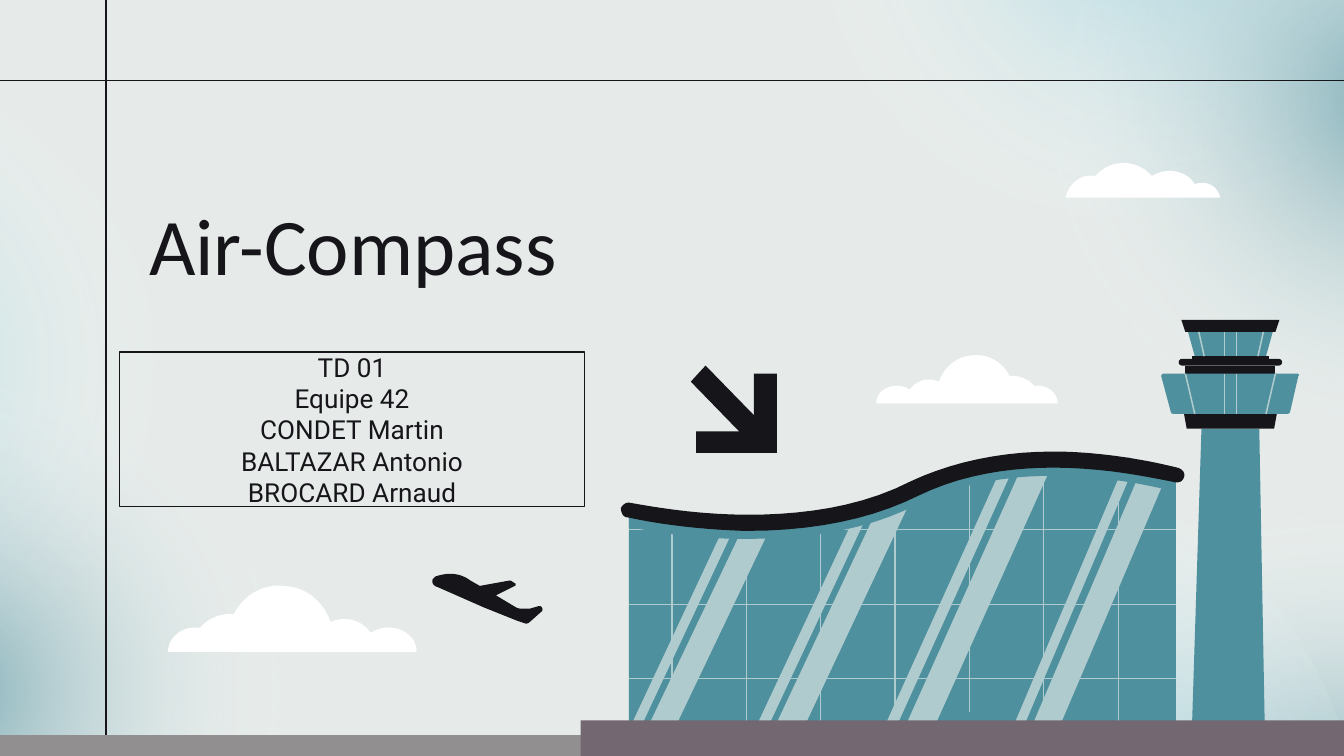
from lxml import etree
from pptx import Presentation
from pptx.dml.color import RGBColor
from pptx.enum.shapes import MSO_CONNECTOR, MSO_SHAPE
from pptx.enum.text import MSO_ANCHOR, PP_ALIGN
from pptx.oxml import parse_xml
from pptx.oxml.ns import nsdecls, qn
from pptx.util import Inches, Pt

STRAIGHT = MSO_CONNECTOR.STRAIGHT
RECT, ELLIPSE, ROUNDED = MSO_SHAPE.RECTANGLE, MSO_SHAPE.OVAL, MSO_SHAPE.ROUNDED_RECTANGLE
MIDDLE, LEFT, CENTER = MSO_ANCHOR.MIDDLE, PP_ALIGN.LEFT, PP_ALIGN.CENTER

COLORS = {"background": "E6EBE9", "ink": "161519", "teal": "4E909E", "sky": "80C8D8",
          "glass": "B0CBCE", "white": "FFFFFF", "pavement": "918F8F", "ground": "736871"}

# Outlines in inches from their top left corner: pairs are corners, sixes are Bezier curves
CLOUD = [(1.64, .33), (1.6, .33, 1.55, .34, 1.51, .37), (1.44, .27, 1.31, .24, 1.21, .29),
         (1.16, .14, 1.03, .03, .87, .02), (.71, 0, .56, .09, .49, .23),
         (.48, .23, .47, .23, .46, .23), (.37, .23, .29, .27, .24, .33),
         (.23, .33, .22, .33, .2, .33), (.09, .33, 0, .41, 0, .51), (1.85, .51),
         (1.85, .41, 1.76, .33, 1.64, .33)]
LOW_CLOUD = [(1.15, .29), (0, .29), (.02, .18, .12, .11, .22, .13), (.33, 0, .53, 0, .64, .13),
             (.75, .06, .9, .09, .96, .19), (1.04, .16, 1.13, .2, 1.15, .29)]
ARROW = [(.11, 0), (0, .12), (.36, .49), (.04, .49), (.04, .65), (.64, .65), (.64, .06),
         (.47, .06), (.47, .37)]
PLANE = [(.14, 0), (.2, 0, .25, .02, .29, .05), (.36, .09), (.58, .05), (.59, .05), (.62, .07),
         (.63, .07, .63, .09, .62, .09), (.48, .16), (.63, .25), (.65, .26, .67, .26, .69, .26),
         (.7, .26, .71, .26, .73, .26), (.8, .24), (.81, .24), (.83, .25, .83, .27, .82, .28),
         (.73, .36), (.72, .37, .71, .37, .7, .37), (.64, .35), (.39, .25), (.05, .1),
         (.01, .09, 0, .06, .01, .04), (.02, .03, .02, .03, .03, .02), (.06, .01, .1, 0, .14, 0)]
SHAFT = [(.3, .81), (.73, .81), (.77, 3), (.23, 3)]
CABIN = [(.09, .7), (.94, .7), (.95, .7, .96, .69, .96, .68), (1.02, .42),
         (1.03, .41, 1.02, .4, 1.01, .4), (.02, .4), (.01, .4, 0, .41, 0, .42), (.07, .68),
         (.07, .69, .08, .7, .09, .7)]
WALL = [(0, .44), (0, 2.02), (4.07, 2.02), (4.07, .18), (3.68, .08, 2.83, -.07, 2.13, .28),
        (1.3, .68, .25, .49, 0, .44)]
EAVES = [(3.22, .07), (3.56, .07, 3.87, .13, 4.07, .18), (4.07, .3),
         (3.87, .25, 3.54, .18, 3.16, .18), (2.84, .18, 2.48, .23, 2.15, .39),
         (1.81, .57, 1.38, .65, .89, .65), (.85, .65), (.56, .65, .28, .62, 0, .56), (0, .44),
         (.12, .47, .47, .54, .89, .54), (1.27, .54, 1.71, .48, 2.1, .29),
         (2.4, .14, 2.76, .07, 3.16, .07)]
ROOF = [(3.22, 0), (3.57, .01, 3.88, .07, 4.08, .12), (4.12, .13, 4.14, .16, 4.13, .19),
        (4.12, .22, 4.1, .23, 4.07, .23), (3.87, .19, 3.54, .12, 3.16, .12),
        (2.83, .12, 2.48, .17, 2.15, .33), (1.81, .5, 1.38, .59, .89, .59), (.85, .59),
        (.56, .58, .27, .55, -.01, .49), (-.04, .49, -.06, .46, -.06, .42),
        (-.05, .4, -.03, .38, 0, .38), (.12, .4, .47, .47, .89, .47),
        (1.27, .47, 1.71, .42, 2.1, .22), (2.4, .08, 2.76, 0, 3.16, 0)]


def rgb(color):
    return RGBColor.from_string(COLORS[color])


def paint(shape, color):
    shape.shadow.inherit = False
    shape.fill.solid()
    shape.fill.fore_color.rgb = rgb(color)
    shape.line.fill.background()


def flatten(steps, pieces=10):
    """Turn corners and Bezier curves into a list of points."""
    points = [steps[0]]
    for step in steps[1:]:
        if len(step) == 2:
            points.append(step)
            continue
        knots = [points[-1], step[:2], step[2:4], step[4:]]
        for i in range(1, pieces + 1):
            t = i / pieces
            weights = ((1 - t) ** 3, 3 * t * (1 - t) ** 2, 3 * t * t * (1 - t), t ** 3)
            points.append(tuple(sum(w * k[axis] for w, k in zip(weights, knots))
                                for axis in (0, 1)))
    return points


def outline(shapes, origin, steps, color, scale_x=1, scale_y=1):
    left, top = origin
    points = [(Inches(left + x * scale_x), Inches(top + y * scale_y))
              for x, y in flatten(steps)]
    builder = shapes.build_freeform(*points[0])
    builder.add_line_segments(points[1:], close=True)
    paint(builder.convert_to_shape(), color)


def block(shapes, kind, left, top, width, height, color):
    shape = shapes.add_shape(kind, *map(Inches, (left, top, width, height)))
    paint(shape, color)
    return shape


def rule(shapes, origin, start, end, color, weight):
    left, top = origin
    line = shapes.add_connector(STRAIGHT, Inches(left + start[0]), Inches(top + start[1]),
                                Inches(left + end[0]), Inches(top + end[1]))
    line.line.color.rgb = rgb(color)
    line.line.width = Pt(weight)
    etree.SubElement(line._element.spPr, qn("a:effectLst"))


def glow(shapes, left, top, rotation, color, alpha):
    ellipse = block(shapes, ELLIPSE, left, top, 5.22, 4.6, color)
    ellipse.rotation = rotation
    stops = "".join(
        f'<a:gs pos="{pos}000"><a:srgbClr val="{COLORS[name]}"><a:alpha val="{opacity}000"/>'
        '</a:srgbClr></a:gs>'
        for pos, name, opacity in ((0, color, alpha), (58, "white", 0), (100, "white", 0)))
    gradient = parse_xml(
        f'<a:gradFill {nsdecls("a")} rotWithShape="1"><a:gsLst>{stops}</a:gsLst>'
        '<a:path path="circle"><a:fillToRect l="50000" t="50000" r="50000" b="50000"/></a:path>'
        '</a:gradFill>')
    properties = ellipse._element.spPr
    properties.replace(properties.find(qn("a:solidFill")), gradient)


def write(shape, box, lines, size, font, align):
    shape.left, shape.top, shape.width, shape.height = map(Inches, box)
    frame = shape.text_frame
    frame.word_wrap = True
    frame.vertical_anchor = MIDDLE
    frame.margin_left = frame.margin_right = frame.margin_top = frame.margin_bottom = Inches(.1)
    frame.text = "\n".join(lines)
    for paragraph in frame.paragraphs:
        paragraph.alignment = align
        paragraph.font.size = Pt(size)
        paragraph.font.name = font
        paragraph.font.color.rgb = rgb("ink")


def backdrop(shapes, width, height):
    # Soft colour in the corners
    for spot in ((7.31, 4.07, 237.1, "teal", 81), (5.1, 3.68, 237.1, "sky", 68),
                 (-3.95, .41, 202, "sky", 68), (-3.01, 2.84, 202, "teal", 68),
                 (6.04, -3.08, 149, "sky", 68), (7.77, -1.57, 149, "teal", 68)):
        glow(shapes, *spot)
    # Crossed rules
    rule(shapes, (0, 0), (.79, 0), (.79, height), "ink", .75)
    rule(shapes, (0, 0), (0, .6), (width, .6), "ink", .75)
    # Clouds, the second one smaller and mirrored
    outline(shapes, (1.25, 4.34), CLOUD, "white")
    outline(shapes, (7.87, 2.63), CLOUD, "white", -.73, .73)
    outline(shapes, (7.93, 1.18), LOW_CLOUD, "white")
    block(shapes, RECT, 0, 5.47, width, height - 5.47, "pavement")


def tower(shapes, left, top, width):
    origin = (left, top)
    outline(shapes, origin, SHAFT, "teal")
    # Tapered storeys: top, bottom, inset at top, inset at bottom
    for upper, lower, inset, foot, color in (
            (.7, .81, .17, .19, "ink"), (.34, .4, .18, .18, "ink"), (.09, .27, .2, .25, "teal"),
            (0, .09, .15, .18, "ink"), (.27, .32, .23, .23, "ink")):
        outline(shapes, origin, [(inset, upper), (width - inset, upper),
                                 (width - foot, lower), (foot, lower)], color)
    outline(shapes, origin, CABIN, "teal")
    rail = block(shapes, ROUNDED, left + .13, top + .29, .77, .05, "ink")
    rail.adjustments[0] = .5
    # Window bars
    for upper, lower, bars in ((.09, .27, ((.28, .32), (.47, .47), (.56, .56), (.76, .72))),
                               (.4, .7, ((.18, .25), (.47, .47), (.56, .56), (.85, .78)))):
        for head, foot in bars:
            rule(shapes, origin, (head, upper), (foot, lower), "glass", .83)


def terminal(shapes, left, top, width):
    origin = (left, top)
    outline(shapes, origin, WALL, "teal")
    # Reflections: lower left corner, upper left corner, width, drop
    for (x, y), (head_x, head_y), wide, drop in (
            ((3, 2.04), (3.84, .07), .19, .04), ((2.87, 2.02), (3.71, .04), .07, .02),
            ((2.04, 2.08), (2.93, .1), .2, .04), ((1.9, 2.05), (2.79, .08), .08, .02),
            ((.99, 2.25), (1.87, .38), .2, .04), ((.86, 2.23), (1.69, .46), .08, .02),
            ((.05, 2.24), (.88, .5), .19, .03), ((-.07, 2.22), (.75, .47), .07, .02)):
        outline(shapes, origin, [(x, y), (x + wide, y + drop), (head_x + wide, head_y + drop),
                                 (head_x, head_y)], "glass")
    # Window grid
    first, last = .32, 3.64
    heads = (.49, .49, .45, .35, .22, .15, .18)
    for i, head in enumerate(heads):
        x = first + (last - first) * i / (len(heads) - 1)
        rule(shapes, origin, (x, head), (x, 1.94 if i == 4 else 2.02), "glass", .67)
    for y in (.58, 1.14, 1.69):
        rule(shapes, origin, (0, y), (width, y), "glass", .67)
    outline(shapes, origin, EAVES, "teal")
    outline(shapes, origin, ROOF, "ink")


def cover(prs, width, height):
    slide = prs.slides.add_slide(prs.slide_layouts[5])
    shapes = slide.shapes
    slide.background.fill.solid()
    slide.background.fill.fore_color.rgb = rgb("background")
    backdrop(shapes, width, height)

    # Title and team
    write(shapes.title, (1.01, .82, 6.7, 2.08), ["Air-Compass"], 43, "Calibri", LEFT)
    shapes.title.text_frame.paragraphs[0].line_spacing = .9
    team = shapes.add_textbox(0, 0, 0, 0)
    write(team, (.89, 2.62, 3.46, 1.15),
          ["TD 01\vEquipe 42", "CONDET Martin", "BALTAZAR Antonio", "BROCARD Arnaud"],
          14, "Roboto", CENTER)
    team.line.color.rgb = rgb("ink")
    team.line.width = Pt(.75)

    # Airport
    outline(shapes, (5.14, 2.72), ARROW, "ink")
    tower(shapes.add_group_shape().shapes, 8.64, 2.38, 1.03)
    terminal(shapes.add_group_shape().shapes, 4.68, 3.36, 4.07)
    block(shapes, RECT, 4.32, 5.36, width - 4.32, height - 5.36, "ground")
    outline(shapes, (3.21, 4.27), PLANE, "ink")


def main():
    width = 10
    height = width * 9 / 16
    prs = Presentation()
    prs.slide_width, prs.slide_height = Inches(width), Inches(height)
    cover(prs, width, height)
    prs.save("out.pptx")


if __name__ == "__main__":
    main()
